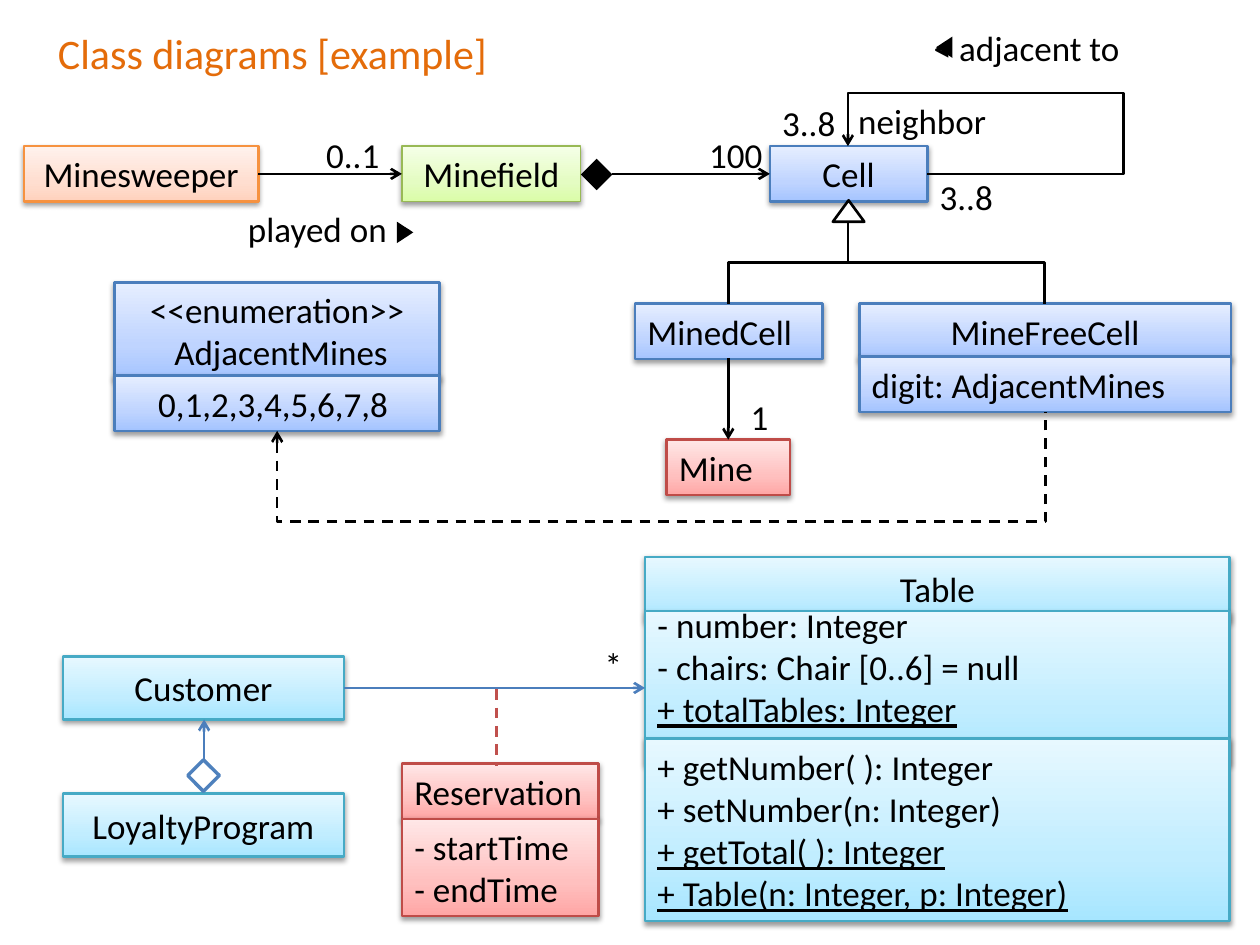
from copy import deepcopy

from lxml import etree
from pptx import Presentation
from pptx import util as u
from pptx.dml import color
from pptx.enum import dml, shapes, text
from pptx.oxml import ns

IN = u.Inches
ALIGN, ANCHOR = text.PP_ALIGN, text.MSO_ANCHOR
SHAPE, LINK = shapes.MSO_SHAPE, shapes.MSO_CONNECTOR

# Box tones hold a line colour and gradient stops from bottom to top.
THEME = {
    "font": "Calibri", "body": 20, "head": 24,
    "ink": "000000", "paper": "FFFFFF", "title": "E46C0A",
    "link": "4B7EBC", "ring": "4F81BD", "note": "C0504D",
    "orange": ("F69240", "FFD2BD", "FFDED0", "FFF2ED"),
    "green": ("98B955", "DAFDA7", "E4FCC2", "F5FFE7"),
    "blue": ("4B7EBC", "A4C4FF", "BFD4FF", "E6EEFF"),
    "red": ("BF4C48", "FFA6A5", "FFC0BF", "FFE7E7"),
    "aqua": ("46AAC5", "A7E6FF", "C1EDFF", "E7F8FF"),
}


def rgb(tone):
    """Turn a hex string into a colour."""
    return color.RGBColor.from_string(tone)


def put(item, **vals):
    """Set attributes from a dict of values."""
    for key, val in vals.items():
        setattr(item, key, val)


def add(root, tag, **vals):
    """Append a drawing element with attributes."""
    return etree.SubElement(root, ns.qn(tag), {k: str(v) for k, v in vals.items()})


def write(frame, words, align=ALIGN.LEFT, size="body", tone="ink", **vals):
    """Write lines of text; a leading underscore underlines a line."""
    put(frame, word_wrap=True, **vals)
    frame.text = "\n".join(line.lstrip("_") for line in words.split("\n"))
    for par, line in zip(frame.paragraphs, words.split("\n")):
        par.alignment = align
        for run in par.runs:
            put(run.font, name=THEME["font"], size=u.Pt(THEME[size]))
            run.font.color.rgb = rgb(THEME[tone])
            if line.startswith("_"):
                run.font.underline = True


def shade(shape):
    """Give a shape a soft shadow straight below it."""
    shape.shadow.inherit = False
    fx = shape._element.spPr.find(ns.qn("a:effectLst"))
    drop = add(fx, "a:outerShdw", blurRad=u.Pt(3.1), dist=u.Pt(1.6),
               dir=5400000, rotWithShape=0)
    ink = add(drop, "a:srgbClr", val=THEME["ink"])
    add(ink, "a:alpha", val=38000)


def blend(fill, tones):
    """Fill with a three-stop gradient that runs upwards."""
    fill.gradient()
    fill.gradient_angle = 90
    first = fill.gradient_stops[0]._gs
    first.addnext(deepcopy(first))
    for stop, spot, tone in zip(fill.gradient_stops, (0, 0.35, 1), tones):
        stop.position = spot
        stop.color.rgb = rgb(tone)


def box(slide, tone, words, at, align=ALIGN.CENTER, width=1.5, **vals):
    """Draw one compartment of a class."""
    shape = slide.shapes.add_shape(SHAPE.RECTANGLE, *map(IN, at))
    edge, *tones = THEME[tone]
    blend(shape.fill, tones)
    shape.line.color.rgb = rgb(edge)
    shape.line.width = u.Pt(width)
    shade(shape)
    write(shape.text_frame, words, align,
          **{"vertical_anchor": ANCHOR.MIDDLE, **vals})


def label(slide, words, at):
    """Place free text and return its first paragraph."""
    frame = slide.shapes.add_textbox(*map(IN, at)).text_frame
    write(frame, words)
    return frame.paragraphs[0]


def mark(slide, kind, at, fill="ink", line=None, width=1.5, turn=0):
    """Draw a small diamond or triangle."""
    shape = slide.shapes.add_shape(kind, *map(IN, at))
    put(shape, rotation=turn)
    shape.shadow.inherit = False
    shape.fill.solid()
    shape.fill.fore_color.rgb = rgb(THEME[fill])
    if line:
        shape.line.color.rgb = rgb(THEME[line])
        shape.line.width = u.Pt(width)
    else:
        shape.line.fill.background()


def style(link, tone, dash, tip):
    """Colour a connector; tip names its arrow end, head or tail."""
    link.line.color.rgb = rgb(THEME[tone])
    link.line.width = u.Pt(1.5)
    if dash:
        link.line.dash_style = dml.MSO_LINE.DASH
    prop = link._element.spPr
    if tip:
        add(prop.find(ns.qn("a:ln")), f"a:{tip}End", type="arrow")
    add(prop, "a:effectLst")


def wire(slide, start, end, tone="ink", dash=False, tip="tail"):
    """Draw a straight connector."""
    link = slide.shapes.add_connector(LINK.STRAIGHT, *map(IN, start + end))
    style(link, tone, dash, tip)


def bend(slide, start, end, bends, dash=False, tip="head"):
    """Draw an elbow that leaves vertically; bends are its adjust values."""
    (x1, y1), (x2, y2) = start, end
    midx, midy = (x1 + x2) / 2, (y1 + y2) / 2
    halfx, halfy = (y2 - y1) / 2, (x1 - x2) / 2
    link = slide.shapes.add_connector(
        LINK.ELBOW, *map(IN, (midx - halfx, midy - halfy, midx + halfx, midy + halfy)))
    prop = link._element.spPr
    prop.xfrm.rot = 90
    geom = prop.find(ns.qn("a:prstGeom"))
    geom.set("prst", f"bentConnector{len(bends) + 2}")
    for old in list(geom):
        geom.remove(old)
    guides = add(geom, "a:avLst")
    for num, val in enumerate(bends, 1):
        add(guides, "a:gd", name=f"adj{num}", fmla=f"val {round(val * 100000)}")
    style(link, "ink", dash, tip)


def game(slide):
    """Draw the minefield classes and their links."""
    box(slide, "orange", "Minesweeper", (0.19, 1.16, 1.86, 0.44))
    box(slide, "green", "Minefield", (3.19, 1.16, 1.42, 0.44), width=0.75)
    box(slide, "blue", "Cell", (6.11, 1.16, 1.25, 0.44))
    box(slide, "blue", "MinedCell", (5.04, 2.41, 1.49, 0.44), ALIGN.LEFT)
    box(slide, "blue", "MineFreeCell", (6.82, 2.41, 2.95, 0.44))
    box(slide, "red", "Mine", (5.29, 3.49, 0.98, 0.44), ALIGN.LEFT)
    box(slide, "blue", "digit: AdjacentMines", (6.82, 2.83, 2.95, 0.44), ALIGN.LEFT)
    box(slide, "blue", "<<enumeration>>\v AdjacentMines", (0.91, 2.24, 2.58, 0.77))
    box(slide, "blue", "0,1,2,3,4,5,6,7,8 ", (0.91, 2.98, 2.58, 0.44))

    mark(slide, SHAPE.ISOSCELES_TRIANGLE, (6.61, 1.59, 0.25, 0.17), "paper", "ink")
    wire(slide, (2.05, 1.38), (3.19, 1.38))
    wire(slide, (4.86, 1.38), (6.11, 1.38))
    wire(slide, (5.78, 2.84), (5.78, 3.49))
    for x in (5.78, 8.29):
        bend(slide, (x, 2.41), (6.73, 1.76), [0.5], tip=None)
    bend(slide, (6.73, 1.16), (7.36, 1.38), [-1.92, 3.47])
    bend(slide, (2.2, 3.42), (8.3, 3.27), [-4.79], dash=True)
    mark(slide, SHAPE.FLOWCHART_DECISION, (4.61, 1.26, 0.25, 0.25))

    near = label(slide, " ", (7.25, 0.16, 1.75, 0.44))
    for words, bold in (("<", True), (" adjacent to", False)):
        run = near.add_run()
        run.text = words
        put(run.font, name=THEME["font"], size=u.Pt(THEME["body"]), bold=bold)
    for words, at in (
        ("3..8", (6.11, 0.76, 0.67, 0.44)),
        ("3..8", (7.36, 1.34, 0.67, 0.44)),
        ("1", (5.86, 3.09, 0.42, 0.44)),
        ("100", (5.53, 1.01, 0.75, 0.44)),
        ("0..1", (2.49, 1.01, 0.7, 0.44)),
        ("played on >", (1.87, 1.6, 1.73, 0.44)),
        (" neighbor", (6.65, 0.74, 1.75, 0.44)),
    ):
        label(slide, words, at)
    for x, y, turn in ((3.13, 1.78, 90), (7.41, 0.31, 270)):
        mark(slide, SHAPE.ISOSCELES_TRIANGLE, (x, y, 0.17, 0.13), turn=turn)


def diner(slide):
    """Draw the table booking classes and their links."""
    box(slide, "aqua", "Table", (5.12, 4.42, 4.64, 0.5))
    box(slide, "aqua",
        "- number: Integer\n- chairs: Chair [0..6] = null\n_+ totalTables: Integer",
        (5.12, 4.85, 4.64, 1.21), ALIGN.LEFT,
        vertical_anchor=ANCHOR.BOTTOM, margin_bottom=IN(0.27))
    box(slide, "aqua",
        "+ getNumber( ): Integer\n+ setNumber(n: Integer) \n"
        "_+ getTotal( ): Integer\n_+ Table(n: Integer, p: Integer)",
        (5.12, 5.86, 4.64, 1.45), ALIGN.LEFT)
    box(slide, "aqua", "Customer", (0.5, 5.21, 2.23, 0.5))
    box(slide, "aqua", "LoyaltyProgram", (0.5, 6.3, 2.23, 0.5))
    box(slide, "red", "Reservation", (3.19, 6.06, 1.56, 0.44), ALIGN.LEFT)
    box(slide, "red", "- startTime\n- endTime", (3.19, 6.5, 1.56, 0.77), ALIGN.LEFT)

    wire(slide, (2.73, 5.46), (5.12, 5.46), "link")
    wire(slide, (1.62, 6.03), (1.62, 5.71), "link")
    wire(slide, (3.94, 5.47), (3.94, 6.08), "note", dash=True, tip=None)
    mark(slide, SHAPE.FLOWCHART_DECISION, (1.49, 6.03, 0.25, 0.25), "paper", "ring", 2)
    label(slide, "*", (4.7, 5.06, 0.35, 0.44))


def main():
    """Build the slide and save it."""
    deck = Presentation()
    put(deck, slide_width=IN(10), slide_height=IN(7.5))
    slide = deck.slides.add_slide(deck.slide_layouts[5])
    title = slide.shapes.title
    put(title, left=IN(0.36), top=IN(0.21), width=IN(3.97), height=IN(0.41))
    write(title.text_frame, "Class diagrams [example] ", size="head", tone="title",
          vertical_anchor=ANCHOR.MIDDLE)
    game(slide)
    diner(slide)
    deck.save("out.pptx")


main()
